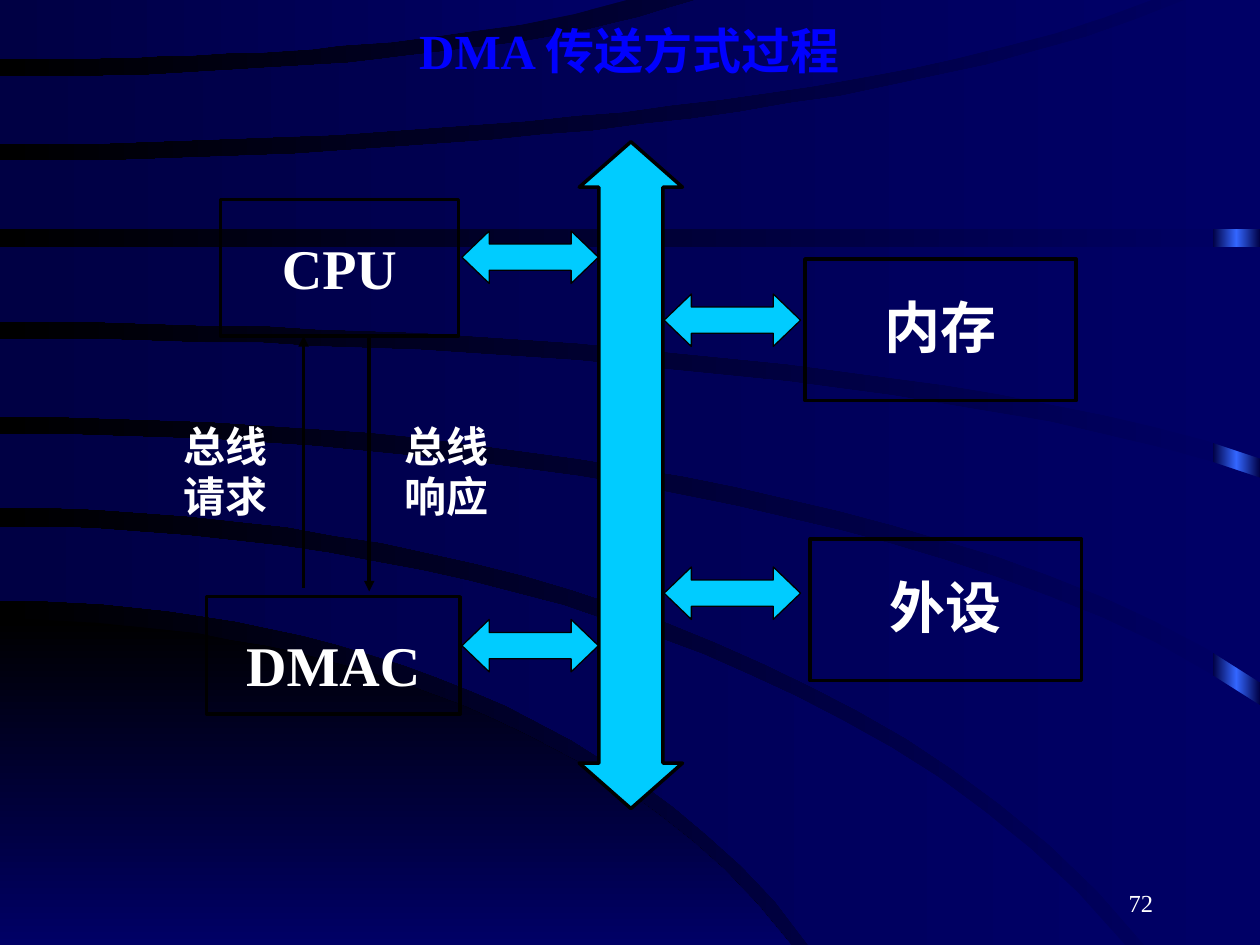
from copy import deepcopy
from math import sqrt

from lxml.etree import SubElement
from pptx import Presentation
from pptx.dml.color import RGBColor
from pptx.enum.shapes import MSO_CONNECTOR, MSO_SHAPE
from pptx.enum.text import MSO_ANCHOR, PP_ALIGN
from pptx.oxml.ns import qn
from pptx.util import Pt

BLACK = RGBColor(0x00, 0x00, 0x00)
WHITE = RGBColor(0xFF, 0xFF, 0xFF)
BLUE = RGBColor(0x00, 0x00, 0xFF)
CYAN = RGBColor(0x00, 0xCC, 0xFF)
NAVY = RGBColor(0x00, 0x00, 0x66)
DARK_NAVY = RGBColor(0x00, 0x00, 0x44)
GLOW = RGBColor(0x33, 0x66, 0xFF)
LATIN, CJK = "Times New Roman", "Noto Sans CJK SC"
WIDTH, HEIGHT = 720, 540

# Content: boxes are left, top, width, height in points
TITLE = ((222, 12, 275, 45), "DMA 传送方式过程")
UNITS = [
    ("CPU", (126, 114, 136, 78)),
    ("DMAC", (118, 341, 145, 67)),
    ("内存", (460, 148, 155, 81)),
    ("外设", (463, 308, 155, 81)),
]
BUS = (170, 242, 381, 59)
LINK_SIZE = (78, 30)
LINKS = [(264, 132), (264, 354), (379.5, 168), (379.5, 324)]
SIGNALS = [  # label left, label, arrow x, arrow start y, arrow end y
    (90, "总线\n请求", 173.5, 336, 192),
    (216, "总线\n响应", 211, 191, 338),
]
PAGE_NUMBER = ((516, 492, 150, 36), "72")

# Backdrop edges are arcs: y at the left side, then the end point x, y
GLOW_STRIP = (693, 0, 27, HEIGHT)
HILL = (354, 452, HEIGHT)
BANDS = [  # upper edge, lower edge
    ((301, 643, HEIGHT), (343, 462, HEIGHT)),
    ((248, WIDTH, 403), (290, 654, HEIGHT)),
    ((194, WIDTH, 273), (238, WIDTH, 390)),
    ((141, WIDTH, 141), (184, WIDTH, 262)),
    ((92, 677, 0), (131, WIDTH, 131)),
    ((44, 398, 0), (82, 658, 0)),
    ((0, 358, 0), (34, 358, 0)),
]
ARC_STEPS = 24
ARC_SHARE = 0.9  # part of a quarter ellipse that an edge covers

prs = Presentation()
prs.slide_width, prs.slide_height = Pt(WIDTH), Pt(HEIGHT)
slide = prs.slides.add_slide(prs.slide_layouts[6])
shapes = slide.shapes


def apply(target, values):
    for key, value in values.items():
        setattr(target, key, value)


def arc(start_y, end_x, end_y):
    """Points of an edge that leaves the left side level and then bends."""
    def drop(t):
        return 1 - sqrt(1 - (ARC_SHARE * t) ** 2)
    steps = [i / ARC_STEPS for i in range(ARC_STEPS + 1)]
    return [(end_x * t, start_y + (end_y - start_y) * drop(t) / drop(1))
            for t in steps]


def blend(fill, colors, angle=180):
    """Fill with evenly spaced colour stops."""
    fill.gradient()
    fill.gradient_angle = angle
    for _ in colors[2:]:
        first = fill.gradient_stops[0]._gs
        first.addnext(deepcopy(first))
    for i, (stop, color) in enumerate(zip(fill.gradient_stops, colors)):
        stop.color.rgb = color
        stop.position = i / (len(colors) - 1)


def draw(kind, box, color=None, line_width=None):
    shape = shapes.add_shape(kind, *map(Pt, box))
    shape.shadow.inherit = False
    if color is None:
        shape.fill.background()
    else:
        shape.fill.solid()
        shape.fill.fore_color.rgb = color
    if line_width is None:
        shape.line.fill.background()
    else:
        shape.line.color.rgb = BLACK
        shape.line.width = Pt(line_width)
    return shape


def draw_area(points, colors, angle=180):
    builder = shapes.build_freeform(*points[0], scale=Pt(1))
    builder.add_line_segments(points[1:], close=True)
    area = builder.convert_to_shape()
    area.shadow.inherit = False
    area.line.fill.background()
    blend(area.fill, colors, angle)


def write(shape, text, size, color=WHITE, bold=True, align=PP_ALIGN.CENTER,
          spacing=None, anchor=MSO_ANCHOR.TOP, insets=(0, 0)):
    side, end = map(Pt, insets)
    frame = shape.text_frame
    apply(frame, dict(word_wrap=True, vertical_anchor=anchor, margin_left=side,
                      margin_right=side, margin_top=end, margin_bottom=end))
    frame.text = text
    for paragraph in frame.paragraphs:
        apply(paragraph, dict(alignment=align, line_spacing=spacing))
        for run in paragraph.runs:
            apply(run.font, dict(name=LATIN, size=Pt(size), bold=bold))
            run.font.color.rgb = color
            east_asian = SubElement(run._r.get_or_add_rPr(), qn("a:ea"))
            east_asian.set("typeface", CJK)


def add_text(box, text, size, **style):
    write(shapes.add_textbox(*map(Pt, box)), text, size, **style)


# Backdrop
blend(slide.background.fill, [NAVY, BLACK])
strip = draw(MSO_SHAPE.RECTANGLE, GLOW_STRIP)
blend(strip.fill, [DARK_NAVY, GLOW, DARK_NAVY])
draw_area(arc(*HILL) + [(0, HEIGHT)], [BLACK, NAVY], angle=270)
for upper, lower in BANDS:
    near, far = sorted([upper, lower], key=lambda edge: edge[1])
    corner = (far[1], near[2])
    draw_area(arc(*upper) + [corner] + arc(*lower)[::-1], [NAVY, DARK_NAVY])

# Title
add_text(*TITLE, 28, color=BLUE)

# Units and the bus between them
for name, box in UNITS:
    write(draw(MSO_SHAPE.RECTANGLE, box, line_width=2), name, 32, spacing=1.5)
bus = draw(MSO_SHAPE.LEFT_RIGHT_ARROW, BUS, CYAN, 2)
bus.rotation = 90
bus.adjustments[0], bus.adjustments[1] = 0.62, 0.44

# Request and response signals
for left, label, x, start, end in SIGNALS:
    signal = shapes.add_connector(MSO_CONNECTOR.STRAIGHT, Pt(x), Pt(start), Pt(x), Pt(end))
    signal.line.color.rgb = BLACK
    signal.line.width = Pt(2)
    SubElement(signal.line._get_or_add_ln(), qn("a:tailEnd")).set("type", "triangle")
    SubElement(signal._element.spPr, qn("a:effectLst"))
    add_text((left, 240, 78, 60), label, 24)

# Links from the units to the bus
for corner in LINKS:
    link = draw(MSO_SHAPE.LEFT_RIGHT_ARROW, corner + LINK_SIZE, CYAN, 0.75)
    link.adjustments[0], link.adjustments[1] = 0.5, 0.52

# Page number
add_text(*PAGE_NUMBER, 14, bold=False, align=PP_ALIGN.RIGHT,
         anchor=MSO_ANCHOR.BOTTOM, insets=(7.2, 3.6))

prs.save("out.pptx")
